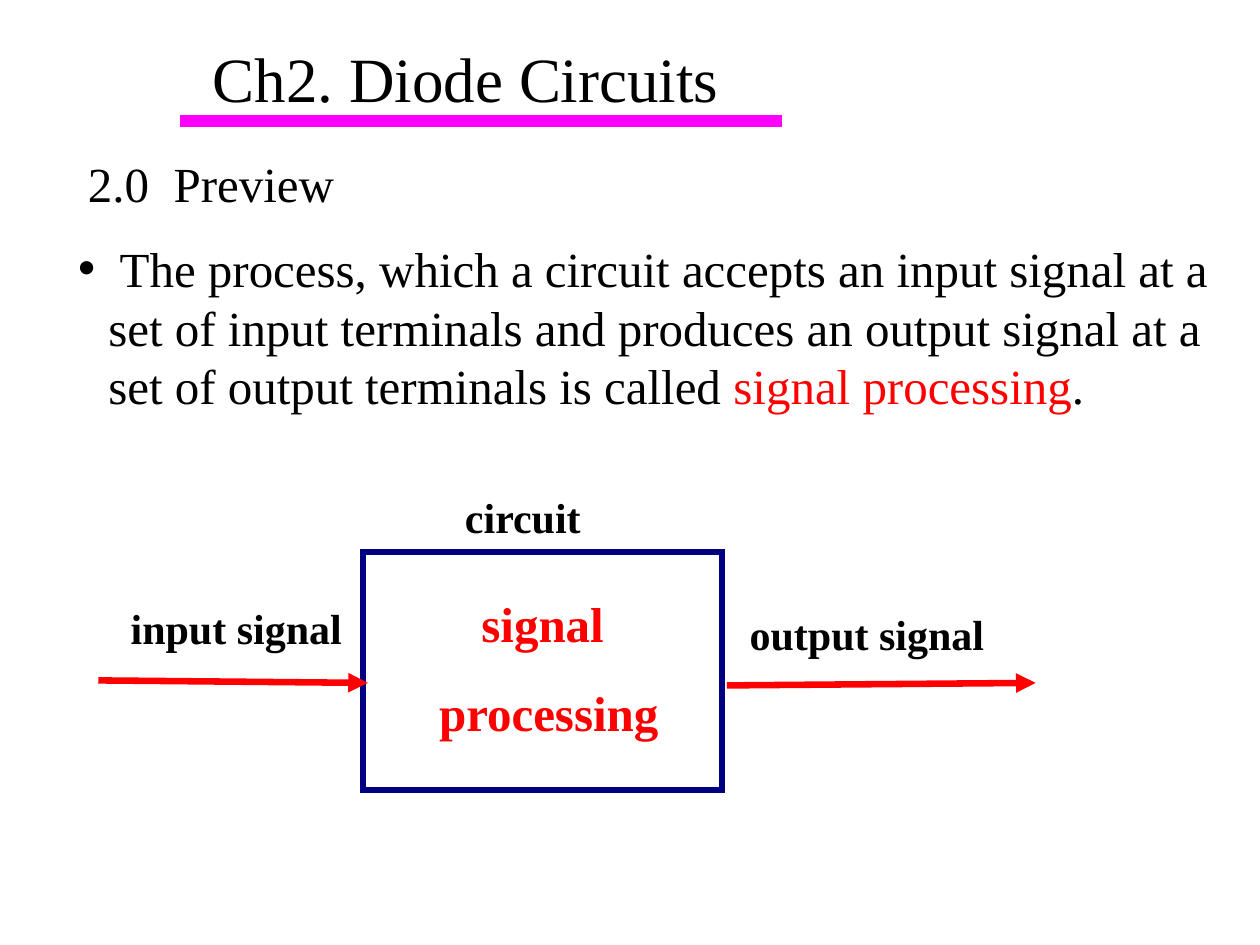
from dataclasses import dataclass

from lxml.etree import SubElement
from pptx import Presentation
from pptx.dml.color import RGBColor
from pptx.enum.shapes import MSO_CONNECTOR, MSO_SHAPE
from pptx.enum.text import MSO_ANCHOR, MSO_AUTO_SIZE, PP_ALIGN
from pptx.oxml.ns import qn
from pptx.util import Inches, Pt


@dataclass(frozen=True)
class Theme:
    font: str = "Times New Roman"
    ink: RGBColor = RGBColor(0, 0, 0)
    red: RGBColor = RGBColor(255, 0, 0)
    navy: RGBColor = RGBColor(0, 0, 128)
    magenta: RGBColor = RGBColor(255, 0, 255)
    title_size: Pt = Pt(36)
    body_size: Pt = Pt(28)
    label_size: Pt = Pt(24)
    rule_width: Pt = Pt(7)
    stroke_width: Pt = Pt(3.75)


THEME = Theme()


def apply(target, values):
    for name, value in values.items():
        setattr(target, name, value)


def place(shape, box):
    names = ("left", "top", "width", "height")
    apply(shape, dict(zip(names, map(Inches, box))))


def add_span(para, text, size, color=THEME.ink, bold=False):
    span = para.add_run()
    span.text = text
    apply(span.font, {"name": THEME.font, "size": size, "bold": bold})
    span.font.color.rgb = color


def add_line(page, start, end, color, width):
    line = page.shapes.add_connector(
        MSO_CONNECTOR.STRAIGHT, *map(Inches, start + end)
    )
    line.line.color.rgb = color
    line.line.width = width
    properties = line._element.spPr
    SubElement(properties, qn("a:effectLst"))
    return properties.find(qn("a:ln"))


def add_text(page, box, lines, size, color=THEME.ink):
    label = page.shapes.add_textbox(*map(Inches, box))
    frame = label.text_frame
    apply(frame, {"word_wrap": False, "auto_size": MSO_AUTO_SIZE.SHAPE_TO_FIT_TEXT})
    for index, text in enumerate(lines):
        para = frame.add_paragraph() if index else frame.paragraphs[0]
        para.alignment = PP_ALIGN.CENTER
        if index:
            para.space_before = Pt(17.5)
        add_span(para, text, size, color, bold=True)


def add_heading(page, box):
    title = page.shapes.title
    place(title, box)
    frame = title.text_frame
    apply(frame, {
        "vertical_anchor": MSO_ANCHOR.MIDDLE,
        "auto_size": MSO_AUTO_SIZE.NONE,
        "word_wrap": True,
    })
    para = frame.paragraphs[0]
    para.alignment = PP_ALIGN.LEFT
    add_span(para, "Ch2. Diode Circuits", THEME.title_size)
    left, top, width, height = box
    rule_y = top + 0.9
    rule = add_line(page, (left - 0.11, rule_y), (left + width + 0.24, rule_y),
                    THEME.magenta, THEME.rule_width)
    rule.set("cap", "sq")


def add_section(page, box):
    section = page.shapes.add_textbox(*map(Inches, box))
    section.text_frame.word_wrap = True
    para = section.text_frame.paragraphs[0]
    tabs = SubElement(para._p.get_or_add_pPr(), qn("a:tabLst"))
    SubElement(tabs, qn("a:tab"), pos=str(Inches(0.68)), algn="l")
    add_span(para, "2.0\tPreview", THEME.body_size)


def add_definition(page, box):
    body = page.placeholders[1]
    place(body, box)
    frame = body.text_frame
    apply(frame, {"auto_size": MSO_AUTO_SIZE.NONE, "word_wrap": True})
    para = frame.paragraphs[0]
    properties = para._p.get_or_add_pPr()
    properties.set("marL", str(Inches(0.24)))
    properties.set("indent", str(-Inches(0.24)))
    SubElement(properties, qn("a:buChar"), char="•")
    apply(para, {"space_before": Pt(0), "line_spacing": 1.0})
    spans = (
        (" The process, which a circuit accepts an input signal at a set of "
         "input terminals and produces an output signal at a set of output "
         "terminals is called ", THEME.ink),
        ("signal processing", THEME.red),
        (".", THEME.ink),
    )
    for text, color in spans:
        add_span(para, text, THEME.body_size, color)


def add_diagram(page, box):
    left, top, width, height = box
    circuit = page.shapes.add_shape(MSO_SHAPE.RECTANGLE, *map(Inches, box))
    circuit.shadow.inherit = False
    circuit.fill.background()
    circuit.line.color.rgb = THEME.navy
    circuit.line.width = THEME.stroke_width
    outline = circuit._element.spPr.find(qn("a:ln"))
    SubElement(outline, qn("a:miter"), lim="800000")
    add_text(page, (left + 0.5, top + 0.28, 1.95, 1.28),
             ("signal ", "processing"), THEME.body_size, THEME.red)
    right = left + width
    arrows = (
        ((left - 2.1, top + 1.02), (left + 0.04, top + 1.04)),
        ((right + 0.04, top + 1.06), (right + 2.49, top + 1.04)),
    )
    for start, end in arrows:
        arrow = add_line(page, start, end, THEME.red, THEME.stroke_width)
        SubElement(arrow, qn("a:tailEnd"), type="triangle")
    labels = (
        ("input signal", left - 1.98, top + 0.35, 1.95),
        ("output signal", right + 0.08, top + 0.4, 2.14),
        ("circuit", left + 0.67, top - 0.53, 1.2),
    )
    for text, label_left, label_top, label_width in labels:
        add_text(page, (label_left, label_top, label_width, 0.5),
                 (text,), THEME.label_size)


def main():
    deck = Presentation()
    apply(deck, {"slide_width": Inches(10), "slide_height": Inches(7.5)})
    page = deck.slides.add_slide(deck.slide_layouts[1])
    add_heading(page, (1.59, 0.06, 4.33, 1.11))
    add_section(page, (0.6, 1.17, 3.06, 0.58))
    add_definition(page, (0.52, 1.84, 9.48, 1.5))
    add_diagram(page, (2.88, 4.38, 2.85, 1.89))
    deck.save("out.pptx")


if __name__ == "__main__":
    main()
